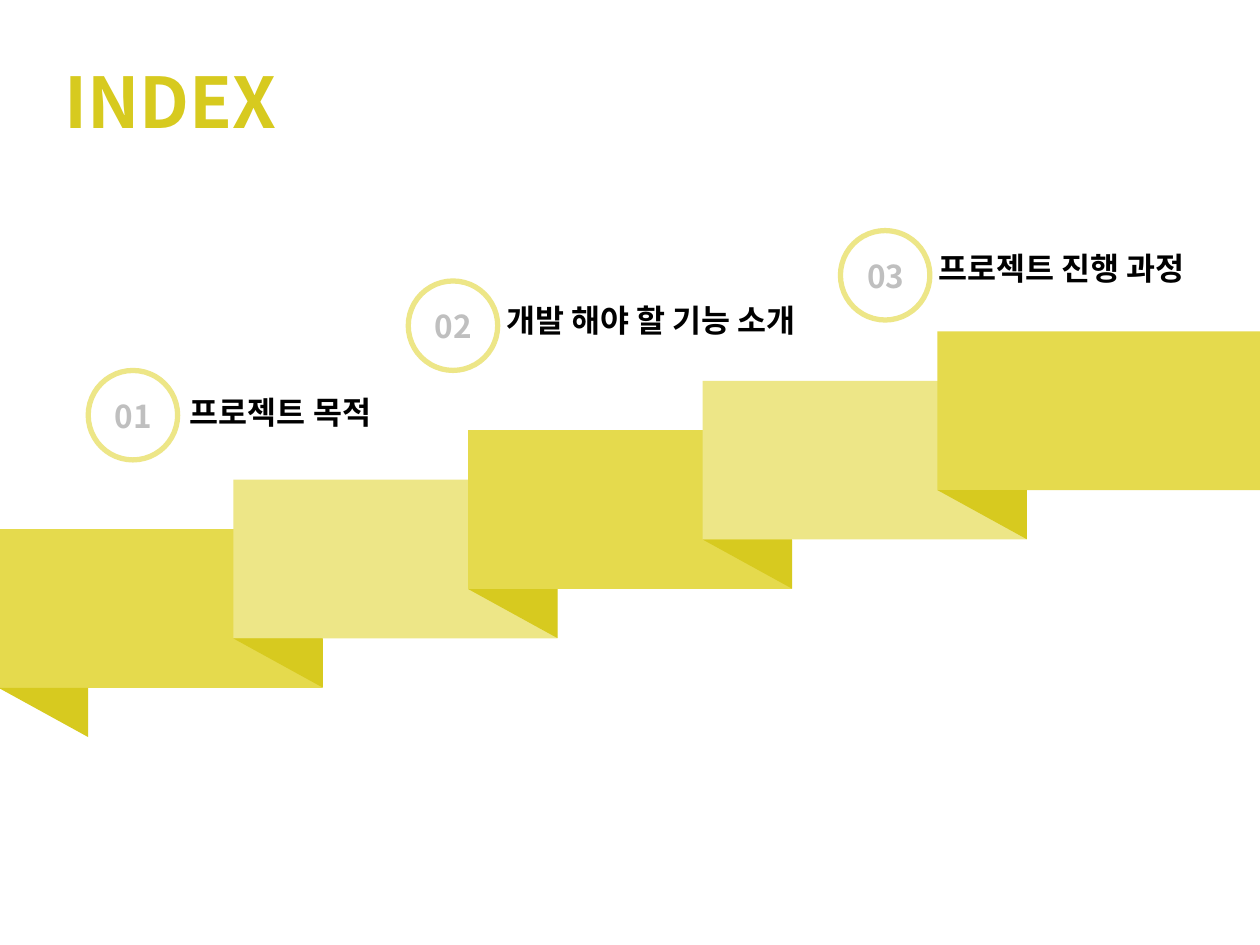
import pptx
import pptx.util
from pptx.dml.color import RGBColor
from pptx.enum.shapes import MSO_SHAPE
from pptx.enum.text import MSO_ANCHOR, MSO_AUTO_SIZE, PP_ALIGN
from pptx.oxml.xmlchemy import OxmlElement
from pptx.util import Inches

FONT = "Noto Sans CJK KR"
COLORS = {
    "title": "D7CA1F",
    "fold": "D7CA1F",
    "band": "E5DA4D",
    "light band": "EDE687",
    "number": "BFBFBF",
    "label": "000000",
    "white": "FFFFFF",
}
# Circle left and top, number, then label offset from the circle, size and wrapping
TOPICS = [
    (0.7, 2.94, "01", "프로젝트 목적", (0.71, 0.13, 1.74, 0.4), False),
    (3.24, 2.23, "02", "개발 해야 할 기능 소개", (0.68, 0.11, 2.7, 0.4), False),
    (6.67, 1.83, "03", "프로젝트 진행 과정", (0.68, 0.1, 2.49, 0.4), True),
]


def color(name):
    return RGBColor.from_string(COLORS[name])


def write(frame, text, size, color_name, align=PP_ALIGN.LEFT):
    para = frame.paragraphs[0]
    para.alignment = align
    span = para.add_run()
    span.text = text
    formats = {"name": FONT, "size": pptx.util.Pt(size), "bold": True}
    for key, value in formats.items():
        setattr(span.font, key, value)
    span.font.color.rgb = color(color_name)
    east_asian = OxmlElement("a:ea")
    east_asian.set("typeface", FONT)
    span.font._element.append(east_asian)


def add_text(shapes, box, text, color_name, align=PP_ALIGN.LEFT, wrap=False):
    frame = shapes.add_textbox(*map(Inches, box)).text_frame
    frame.word_wrap = wrap
    frame.auto_size = MSO_AUTO_SIZE.SHAPE_TO_FIT_TEXT
    write(frame, text, 18, color_name, align)


def add_filled(shapes, kind, box, fill):
    shape = shapes.add_shape(kind, *map(Inches, box))
    shape.shadow.inherit = False
    shape.fill.solid()
    shape.fill.fore_color.rgb = color(fill)
    shape.line.fill.background()
    return shape


def add_title(page, box):
    title = page.shapes.title
    for key, value in zip(("left", "top", "width", "height"), box):
        setattr(title, key, Inches(value))
    title.text_frame.vertical_anchor = MSO_ANCHOR.MIDDLE
    write(title.text_frame, "INDEX", 40, "title")


def add_ribbon(page, box, count=5):
    """Fill the box with overlapping bands that climb from lower left to upper right."""
    left, top, width, height = box
    band_width, band_height = 2.57, 1.26
    fold_width, fold_height = 0.71, 0.39
    step_x = (width - band_width) / (count - 1)
    step_y = (height - band_height - fold_height) / (count - 1)
    for index in range(count):
        x = left + index * step_x
        y = top + (count - 1 - index) * step_y
        fill = "light band" if index % 2 else "band"
        add_filled(page.shapes, MSO_SHAPE.RECTANGLE, (x, y, band_width, band_height), fill)
        fold = add_filled(page.shapes, MSO_SHAPE.RIGHT_TRIANGLE,
                          (x, y + band_height, fold_width, fold_height), "fold")
        fold.rotation = 180


def add_topic(page, left, top, number, label, label_box, wrap):
    badge = page.shapes.add_group_shape()
    circle = add_filled(badge.shapes, MSO_SHAPE.OVAL, (left, top, 0.71, 0.71), "white")
    circle.line.color.rgb = color("light band")
    circle.line.width = pptx.util.Pt(3)
    add_text(badge.shapes, (left + 0.11, top + 0.16, 0.5, 0.4), number, "number",
             PP_ALIGN.CENTER)
    x, y, width, height = label_box
    add_text(page.shapes, (left + x, top + y, width, height), label, "label", wrap=wrap)


def main():
    deck = pptx.Presentation()
    deck.slide_width, deck.slide_height = Inches(10), Inches(7.5)
    page = deck.slides.add_slide(deck.slide_layouts[5])
    add_title(page, (0.41, 0.44, 5.06, 0.71))
    add_ribbon(page, (-0.01, 2.63, 10.02, 3.22))
    for topic in TOPICS:
        add_topic(page, *topic)
    deck.save("out.pptx")


if __name__ == "__main__":
    main()
